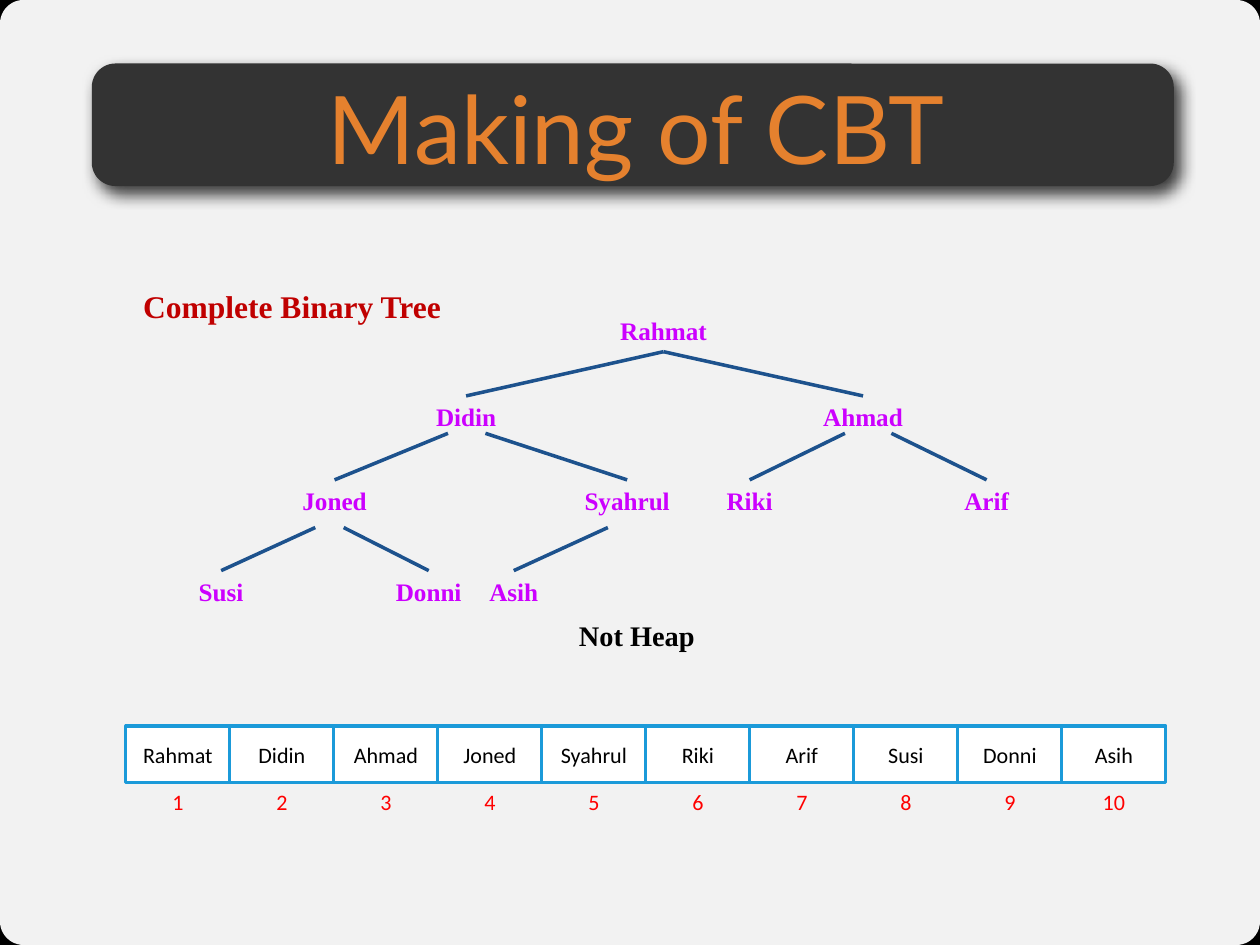
from dataclasses import dataclass

from lxml.etree import SubElement
from pptx import Presentation
from pptx.dml.color import RGBColor
from pptx.enum.shapes import MSO_CONNECTOR as Connector, MSO_SHAPE as Preset
from pptx.enum.text import MSO_ANCHOR as Anchor, PP_ALIGN as Align
from pptx.oxml.ns import qn
from pptx.util import Inches, Pt

BLACK = RGBColor(0x00, 0x00, 0x00)
WHITE = RGBColor(0xFF, 0xFF, 0xFF)
CHARCOAL = RGBColor(0x33, 0x33, 0x33)
ORANGE = RGBColor(0xE5, 0x81, 0x2E)
NAVY = RGBColor(0x1D, 0x52, 0x8D)
VIOLET = RGBColor(0xCC, 0x00, 0xFF)
DARK_RED = RGBColor(0xC0, 0x00, 0x00)
RED = RGBColor(0xFF, 0x00, 0x00)
SKY = RGBColor(0x1B, 0x9A, 0xD9)

SLIDE_WIDTH, SLIDE_HEIGHT = 11.11, 8.33
LEVEL_TOPS = (2.73, 3.49, 4.23, 5.03)
BRANCH_TOPS = (3.10, 3.82, 4.65)
NODE_WIDTH, NODE_HEIGHT = 1, 0.37
ARRAY_LEFT, ARRAY_TOP, ARRAY_WIDTH, CELL_HEIGHT = 1.11, 6.4, 9.17, 0.5


@dataclass(frozen=True)
class Box:
    left: float
    top: float
    width: float
    height: float

    def lengths(self) -> list[Inches]:
        return [Inches(value) for value in (self.left, self.top, self.width, self.height)]


@dataclass(frozen=True)
class TextStyle:
    name: str
    size: int
    color: RGBColor
    bold: bool = False


@dataclass(frozen=True)
class TreeNode:
    """A name, its centre, and where its branch leaves the parent's centre."""
    name: str
    center: float
    branch_offset: float = 0


TITLE = TextStyle("Lato", 60, ORANGE)
HEADING = TextStyle("Times New Roman", 20, DARK_RED, True)
VERDICT = TextStyle("Times New Roman", 18, BLACK, True)
NODE = TextStyle("Times New Roman", 16, VIOLET, True)
CELL = TextStyle("Calibri", 14, BLACK)
INDEX = TextStyle("Calibri", 14, RED)

# Level order: the parent of node i is node (i - 1) // 2.
TREE = [
    TreeNode("Rahmat", 5.85),
    TreeNode("Didin", 4.11),
    TreeNode("Ahmad", 7.61),
    TreeNode("Joned", 2.95, -0.16),
    TreeNode("Syahrul", 5.53, 0.17),
    TreeNode("Riki", 6.61, -0.16),
    TreeNode("Arif", 8.7, 0.25),
    TreeNode("Susi", 1.95, -0.17),
    TreeNode("Donni", 3.78, 0.08),
    TreeNode("Asih", 4.53, -0.17),
]


def set_attributes(target, values: dict) -> None:
    for attribute, value in values.items():
        setattr(target, attribute, value)


def write_text(shape, text: str, style: TextStyle, anchor: Anchor, inset: float) -> None:
    frame = shape.text_frame
    set_attributes(frame, {
        "word_wrap": True, "vertical_anchor": anchor,
        "margin_left": Inches(inset), "margin_right": Inches(inset),
        "margin_top": Inches(inset / 2), "margin_bottom": Inches(inset / 2),
    })
    paragraph = frame.paragraphs[0]
    paragraph.text = text
    paragraph.alignment = Align.CENTER
    set_attributes(paragraph.font, {"name": style.name, "size": Pt(style.size), "bold": style.bold})
    paragraph.font.color.rgb = style.color


def add_text(slide, box: Box, text: str, style: TextStyle,
             anchor: Anchor = Anchor.TOP, inset: float = 0.1) -> None:
    write_text(slide.shapes.add_textbox(*box.lengths()), text, style, anchor, inset)


def add_panel(slide, preset: Preset, box: Box, fill: RGBColor):
    """Add a flat, unlined shape."""
    shape = slide.shapes.add_shape(preset, *box.lengths())
    shape.shadow.inherit = False
    shape.fill.solid()
    shape.fill.fore_color.rgb = fill
    shape.line.fill.background()
    return shape


def set_alpha(color_element, percent: int) -> None:
    SubElement(color_element, qn("a:alpha"), val=str(percent * 1000))


def add_backdrop(slide) -> None:
    slide.background.fill.solid()
    slide.background.fill.fore_color.rgb = BLACK
    sheet = add_panel(slide, Preset.ROUNDED_RECTANGLE, Box(0, 0, SLIDE_WIDTH, SLIDE_HEIGHT), WHITE)
    sheet.adjustments[0] = 0.025
    set_alpha(sheet._element.spPr.find(qn("a:solidFill"))[0], 95)


def add_title(slide) -> None:
    banner = add_panel(slide, Preset.ROUNDED_RECTANGLE, Box(0.81, 0.56, 9.54, 1.08), CHARCOAL)
    banner.adjustments[0] = 0.192
    effects = banner._element.spPr.find(qn("a:effectLst"))
    shadow = SubElement(effects, qn("a:outerShdw"), blurRad=str(Pt(10)), dist=str(Pt(6)),
                        dir=str(51 * 60000), algn="tl", rotWithShape="0")
    set_alpha(SubElement(shadow, qn("a:srgbClr"), val=str(BLACK)), 75)
    add_text(slide, Box(0.86, 0.62, 9.5, 1), "Making of CBT", TITLE, Anchor.MIDDLE, 0)


def add_branch(slide, start: tuple[float, float], end: tuple[float, float]) -> None:
    points = [Inches(value) for value in (*start, *end)]
    branch = slide.shapes.add_connector(Connector.STRAIGHT, *points)
    branch.line.color.rgb = NAVY
    branch.line.width = Pt(2.25)
    SubElement(branch._element.spPr, qn("a:effectLst"))


def add_tree(slide) -> None:
    for position, node in enumerate(TREE):
        level = (position + 1).bit_length() - 1
        top = LEVEL_TOPS[level]
        if position:
            parent = TREE[(position - 1) // 2]
            start = (parent.center + node.branch_offset, BRANCH_TOPS[level - 1])
            add_branch(slide, start, (node.center, top))
        box = Box(node.center - NODE_WIDTH / 2, top, NODE_WIDTH, NODE_HEIGHT)
        add_text(slide, box, node.name, NODE)


def add_array(slide) -> None:
    """Draw the tree in level order as numbered cells."""
    width = ARRAY_WIDTH / len(TREE)
    for position, node in enumerate(TREE):
        left = ARRAY_LEFT + position * width
        cell = add_panel(slide, Preset.RECTANGLE, Box(left, ARRAY_TOP, width, CELL_HEIGHT), WHITE)
        cell.line.color.rgb = SKY
        cell.line.width = Pt(2)
        write_text(cell, node.name, CELL, Anchor.MIDDLE, 0.1)
        index_box = Box(left, ARRAY_TOP + CELL_HEIGHT, width, 0.33)
        add_text(slide, index_box, str(position + 1), INDEX)


def main() -> None:
    presentation = Presentation()
    presentation.slide_width = Inches(SLIDE_WIDTH)
    presentation.slide_height = Inches(SLIDE_HEIGHT)
    slide = presentation.slides.add_slide(presentation.slide_layouts[6])
    add_backdrop(slide)
    add_title(slide)
    add_tree(slide)
    add_text(slide, Box(4.7, 5.4, 1.83, 0.4), "Not Heap", VERDICT)
    add_text(slide, Box(0.95, 2.48, 3.25, 0.44), "Complete Binary Tree", HEADING)
    add_array(slide)
    presentation.save("out.pptx")


if __name__ == "__main__":
    main()
